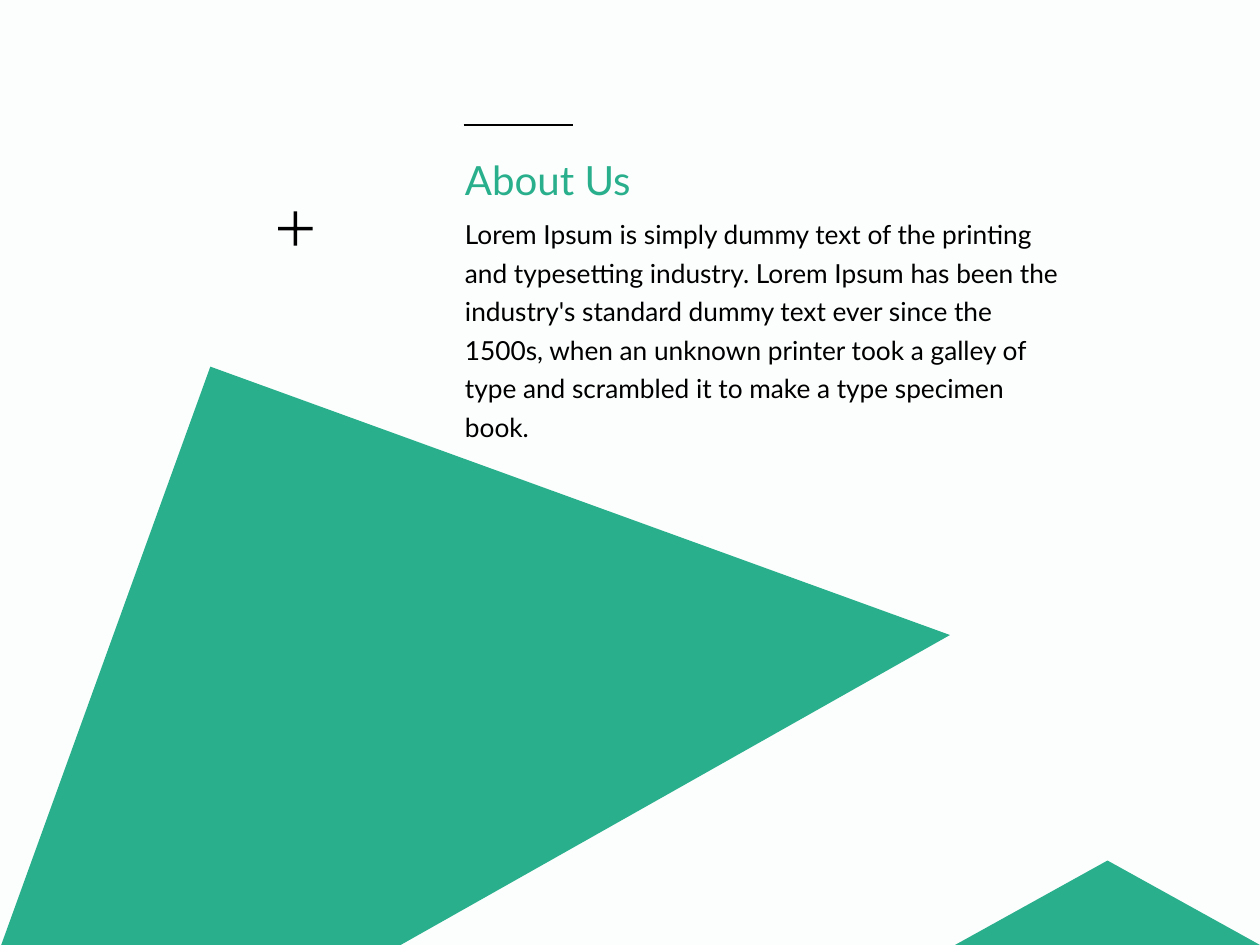
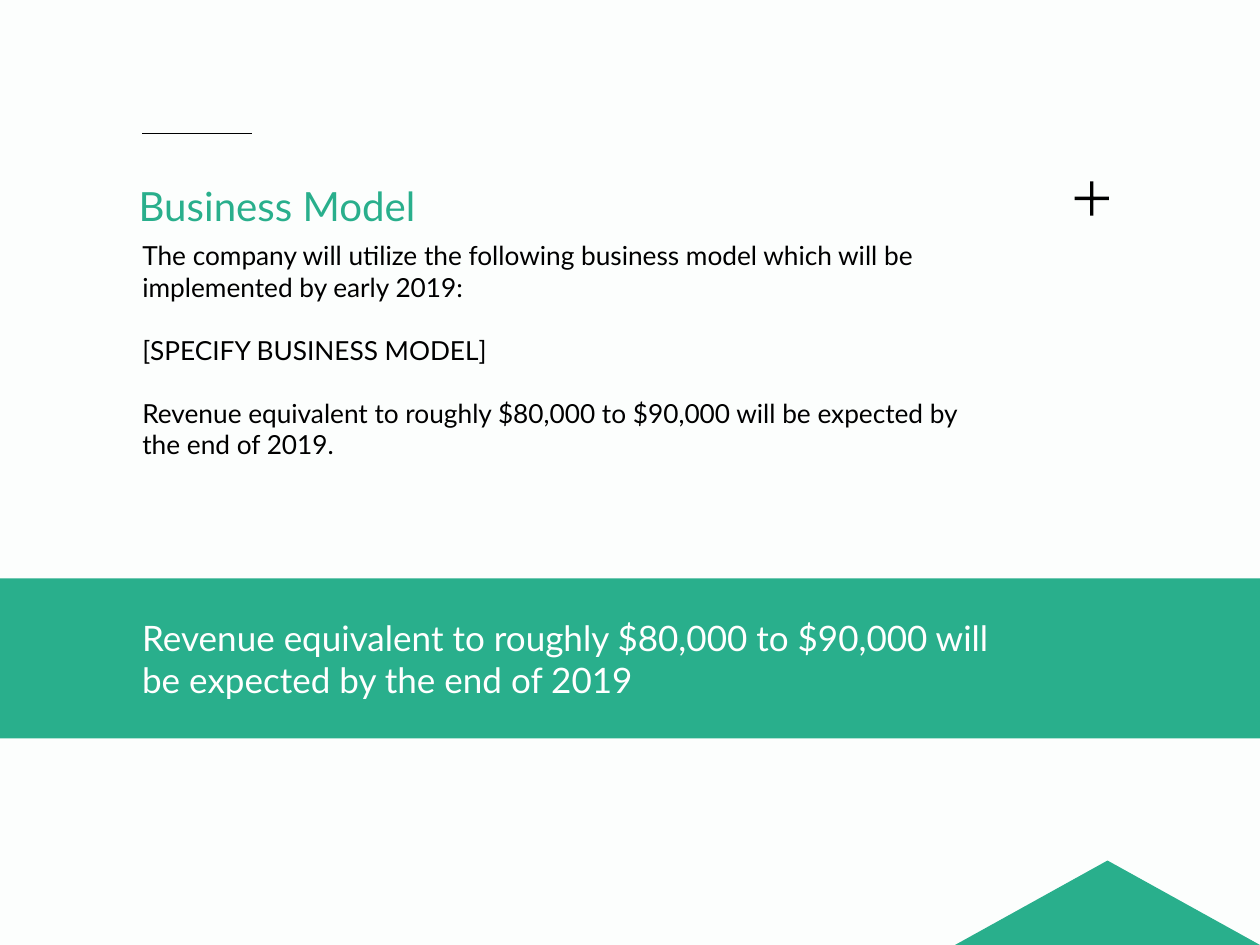
import dataclasses

import pptx
import pptx.dml.color
import pptx.enum.shapes
import pptx.enum.text
import pptx.oxml
import pptx.util

Color = pptx.dml.color.RGBColor
Point = pptx.util.Pt
Shapes = pptx.enum.shapes.MSO_SHAPE

SLIDE_WIDTH = pptx.util.Inches(10)
SLIDE_HEIGHT = pptx.util.Inches(7.5)
COLUMN = SLIDE_WIDTH / 100
ROW = SLIDE_HEIGHT / 75


@dataclasses.dataclass(frozen=True)
class Theme:
    font: str = "Lato"
    green: Color = Color(0x29, 0xAF, 0x8C)
    black: Color = Color(0, 0, 0)
    white: Color = Color(255, 255, 255)
    background: Color = Color(0xFC, 0xFE, 0xFD)
    title_size: int = 23
    banner_size: int = 20
    body_size: int = 15
    rule_width: int = 1


THEME = Theme()


def grid(column, row):
    return round(column * COLUMN), round(row * ROW)


def place(shape, left, top, width, height):
    shape.left, shape.top = grid(left, top)
    shape.width, shape.height = grid(width, height)


def write_text(shape, *texts, size, color, line_spacing=1.0, gap=0):
    """Write one paragraph per text, with gap points between them."""
    frame = shape.text_frame
    frame.word_wrap = True
    frame.auto_size = pptx.enum.text.MSO_AUTO_SIZE.NONE
    frame.vertical_anchor = pptx.enum.text.MSO_ANCHOR.TOP
    for index, text in enumerate(texts):
        paragraph = frame.add_paragraph() if index else frame.paragraphs[0]
        paragraph.alignment = pptx.enum.text.PP_ALIGN.LEFT
        paragraph.line_spacing = line_spacing
        paragraph.space_before = Point(gap if index else 0)
        properties = paragraph._p.get_or_add_pPr()
        properties.set("marL", "0")
        properties.set("indent", "0")
        properties.append(pptx.oxml.parse_xml(
            '<a:buNone xmlns:a="http://schemas.openxmlformats.org/drawingml/2006/main"/>'))
        run = paragraph.add_run()
        run.text = text
        run.font.name = THEME.font
        run.font.size = Point(size)
        run.font.color.rgb = color


def paint(shape, color):
    shape.shadow.inherit = False
    shape.fill.solid()
    shape.fill.fore_color.rgb = color
    shape.line.fill.background()


def add_filled_shape(slide, kind, box, color):
    left, top, width, height = box
    shape = slide.shapes.add_shape(kind, *grid(left, top), *grid(width, height))
    paint(shape, color)
    return shape


def add_plus(slide, left, top):
    plus = add_filled_shape(slide, Shapes.MATH_PLUS, (left, top, 3.7, 3.7), THEME.black)
    plus.adjustments[0] = 0.071


def add_rule(slide, left, top, length=8.7):
    rule = slide.shapes.add_connector(
        pptx.enum.shapes.MSO_CONNECTOR.STRAIGHT,
        *grid(left, top), *grid(left + length, top))
    rule.line.color.rgb = THEME.black
    rule.line.width = Point(THEME.rule_width)
    rule._element.spPr.append(pptx.oxml.parse_xml(
        '<a:effectLst xmlns:a="http://schemas.openxmlformats.org/drawingml/2006/main"/>'))


def add_polygon(slide, points, color):
    first, *others = [grid(*point) for point in points]
    builder = slide.shapes.build_freeform(*first)
    builder.add_line_segments(others, close=True)
    paint(builder.convert_to_shape(), color)


def add_banner(slide, text, top, height):
    add_filled_shape(slide, Shapes.RECTANGLE, (0, top, 100, height), THEME.green)
    label = slide.shapes.add_textbox(*grid(10.3, top + 2.5), *grid(69.7, 7.7))
    write_text(label, text, size=THEME.banner_size, color=THEME.white)


def add_content_slide(presentation, title, title_box, paragraphs, body_box,
                      rule_at, plus_at, **body_format):
    """Add a slide with title, body, rule, plus and the corner triangle."""
    slide = presentation.slides.add_slide(presentation.slide_layouts[1])
    heading, body = slide.shapes.title, slide.placeholders[1]
    place(heading, *title_box)
    write_text(heading, title, size=THEME.title_size, color=THEME.green)
    place(body, *body_box)
    write_text(body, *paragraphs, size=THEME.body_size, color=THEME.black, **body_format)
    add_rule(slide, *rule_at)
    add_plus(slide, *plus_at)
    add_filled_shape(slide, Shapes.ISOSCELES_TRIANGLE, (75.8, 68.3, 24.2, 6.7), THEME.green)
    return slide


def add_about_slide(presentation):
    slide = add_content_slide(
        presentation,
        "About Us", (35.9, 11.8, 17.9, 4.9),
        ["Lorem Ipsum is simply dummy text of the printing and typesetting industry. "
         "Lorem Ipsum has been the industry's standard dummy text ever since the 1500s, "
         "when an unknown printer took a galley of type and scrambled it to make a type "
         "specimen book."],
        (35.9, 16.3, 50.3, 16.1),
        rule_at=(36.8, 9.9), plus_at=(21.6, 16.3), line_spacing=Point(22))
    add_polygon(slide, [(0.1, 75), (31.8, 75), (75.4, 50.4), (16.7, 29.1)], THEME.green)


def add_business_slide(presentation):
    slide = add_content_slide(
        presentation,
        "Business Model", (10, 13.9, 28, 4.9),
        ["The company will utilize the following business model which will be "
         "implemented by early 2019:",
         "[SPECIFY BUSINESS MODEL]",
         "Revenue equivalent to roughly $80,000 to $90,000 will be expected by the "
         "end of 2019."],
        (10.3, 18.5, 67.5, 18.7),
        rule_at=(11.3, 10.6), plus_at=(84.8, 13.9), gap=18)
    add_banner(slide, "Revenue equivalent to roughly $80,000 to $90,000 will be "
                      "expected by the end of 2019", top=45.9, height=12.7)


def main():
    presentation = pptx.Presentation()
    presentation.slide_width = SLIDE_WIDTH
    presentation.slide_height = SLIDE_HEIGHT
    background = presentation.slide_master.background.fill
    background.solid()
    background.fore_color.rgb = THEME.background
    add_about_slide(presentation)
    add_business_slide(presentation)
    presentation.save("out.pptx")


if __name__ == "__main__":
    main()
